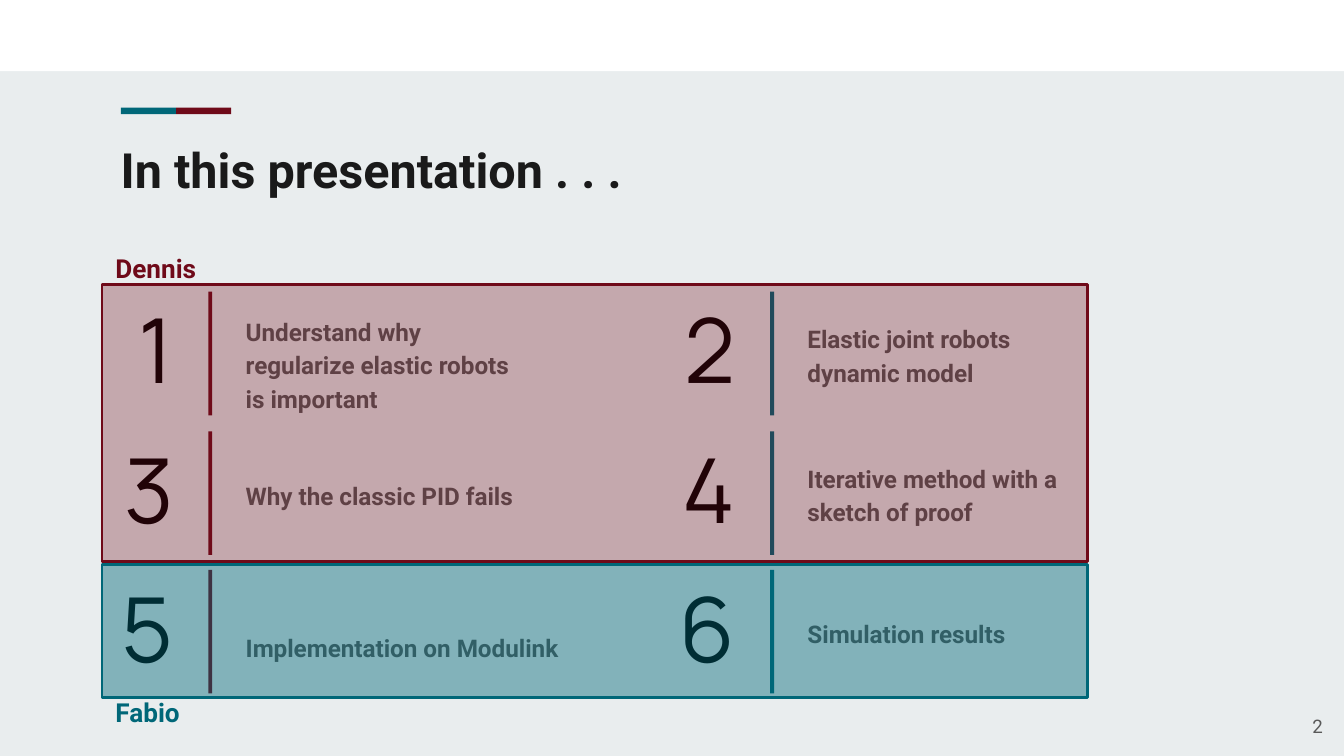
from pptx import Presentation
from pptx.dml.color import RGBColor
from pptx.enum.shapes import MSO_SHAPE
from pptx.enum.text import MSO_ANCHOR, PP_ALIGN
from pptx.oxml.ns import qn
from pptx.util import Inches, Pt
from lxml import etree

TEAL = RGBColor(0x00, 0x67, 0x78)
MAROON = RGBColor(0x6F, 0x0A, 0x19)
BACKGROUND = RGBColor(0xE9, 0xED, 0xEE)
WHITE = RGBColor(0xFF, 0xFF, 0xFF)
BLACK = RGBColor(0x00, 0x00, 0x00)
INK = RGBColor(0x1A, 0x1A, 0x1A)
GREY = RGBColor(0x59, 0x59, 0x59)

SLIDE_WIDTH = 10
SLIDE_HEIGHT = SLIDE_WIDTH * 9 / 16

# Agenda grid, in inches
COLUMNS = ((0.38, MAROON), (4.56, TEAL))
ROW_TOPS = (2.17, 3.21, 4.24)
CELL_HEIGHT = 0.92
PANEL_LEFT, PANEL_WIDTH = 0.76, 7.33

# Wording, text width, downward shift of the text
AGENDA = [
    ("Understand why regularize elastic robots is important", 2.3, 0.07),
    ("Elastic joint robots dynamic model", 2.34, 0),
    ("Why the classic PID fails", 2.34, 0),
    ("Iterative method with a sketch of proof", 2.34, 0),
    ("Implementation on Modulink", 2.71, 0.1),
    ("Simulation results", 2.34, 0),
]


def add_text(slide, box, text, size, color, font="Roboto", bold=False,
             align=PP_ALIGN.LEFT, anchor=MSO_ANCHOR.TOP, line_spacing=None):
    shape = slide.shapes.add_textbox(*map(Inches, box))
    frame = shape.text_frame
    frame.text = text
    frame.word_wrap = True
    frame.vertical_anchor = anchor
    frame.margin_left = frame.margin_right = Inches(0.1)
    frame.margin_top = frame.margin_bottom = Inches(0.1)
    paragraph = frame.paragraphs[0]
    paragraph.alignment = align
    if line_spacing:
        paragraph.line_spacing = line_spacing
    run_font = paragraph.runs[0].font
    run_font.name, run_font.size, run_font.bold = font, Pt(size), bold
    run_font.color.rgb = color


def add_rectangle(slide, box, color):
    shape = slide.shapes.add_shape(MSO_SHAPE.RECTANGLE, *map(Inches, box))
    shape.shadow.inherit = False
    shape.fill.solid()
    shape.fill.fore_color.rgb = color
    shape.line.fill.background()
    return shape


def add_header(slide, left, top, width):
    """Two-colour accent with the title below it."""
    accent_width = 0.41
    for index, color in enumerate((TEAL, MAROON)):
        accent_left = left + 0.1 + index * accent_width
        add_rectangle(slide, (accent_left, top, accent_width, 0.05), color)
    add_text(slide, (left, top + 0.14, width, 0.59),
             "In this presentation . . .", 26, INK, bold=True)


def add_agenda_item(slide, left, top, number, item, color):
    text, text_width, shift = item
    add_text(slide, (left, top, 1.01, CELL_HEIGHT), str(number), 48, BLACK,
             font="Manrope", align=PP_ALIGN.RIGHT, anchor=MSO_ANCHOR.BOTTOM)
    add_rectangle(slide, (left + 1.17, top, 0.03, CELL_HEIGHT), color)
    add_text(slide, (left + 1.35, top + shift, text_width, CELL_HEIGHT),
             text, 13, GREY, bold=True, anchor=MSO_ANCHOR.MIDDLE,
             line_spacing=1.15)


def add_agenda(slide):
    for index, item in enumerate(AGENDA):
        row, column = divmod(index, len(COLUMNS))
        left, color = COLUMNS[column]
        add_agenda_item(slide, left, ROW_TOPS[row], index + 1, item, color)


def add_speaker_panel(slide, box, name, name_top, color, opacity):
    """Translucent panel over a speaker's items, with the speaker's name."""
    add_text(slide, (box[0], name_top, 2.05, 0.44), name, 14, color, bold=True)
    panel = add_rectangle(slide, box, color)
    panel.line.color.rgb = color
    panel.line.width = Pt(1.5)
    fill_color = panel.element.spPr.find(qn("a:solidFill"))[0]
    alpha = etree.SubElement(fill_color, qn("a:alpha"))
    alpha.set("val", str(opacity * 1000))


def main():
    presentation = Presentation()
    presentation.slide_width = Inches(SLIDE_WIDTH)
    presentation.slide_height = Inches(SLIDE_HEIGHT)
    slide = presentation.slides.add_slide(presentation.slide_layouts[6])
    slide.background.fill.solid()
    slide.background.fill.fore_color.rgb = BACKGROUND

    add_rectangle(slide, (0, 0, SLIDE_WIDTH, 0.53), WHITE)
    add_header(slide, 0.8, 0.8, 8.41)
    add_agenda(slide)
    add_speaker_panel(slide, (PANEL_LEFT, 4.2, PANEL_WIDTH, 0.99),
                      "Fabio", 5.08, TEAL, 44)
    add_speaker_panel(slide, (PANEL_LEFT, 2.12, PANEL_WIDTH, 2.06),
                      "Dennis", 1.78, MAROON, 30)
    add_text(slide, (9.34, 5.19, 0.6, 0.43), "2", 10, GREY,
             align=PP_ALIGN.RIGHT, anchor=MSO_ANCHOR.MIDDLE)
    presentation.save("out.pptx")


if __name__ == "__main__":
    main()
